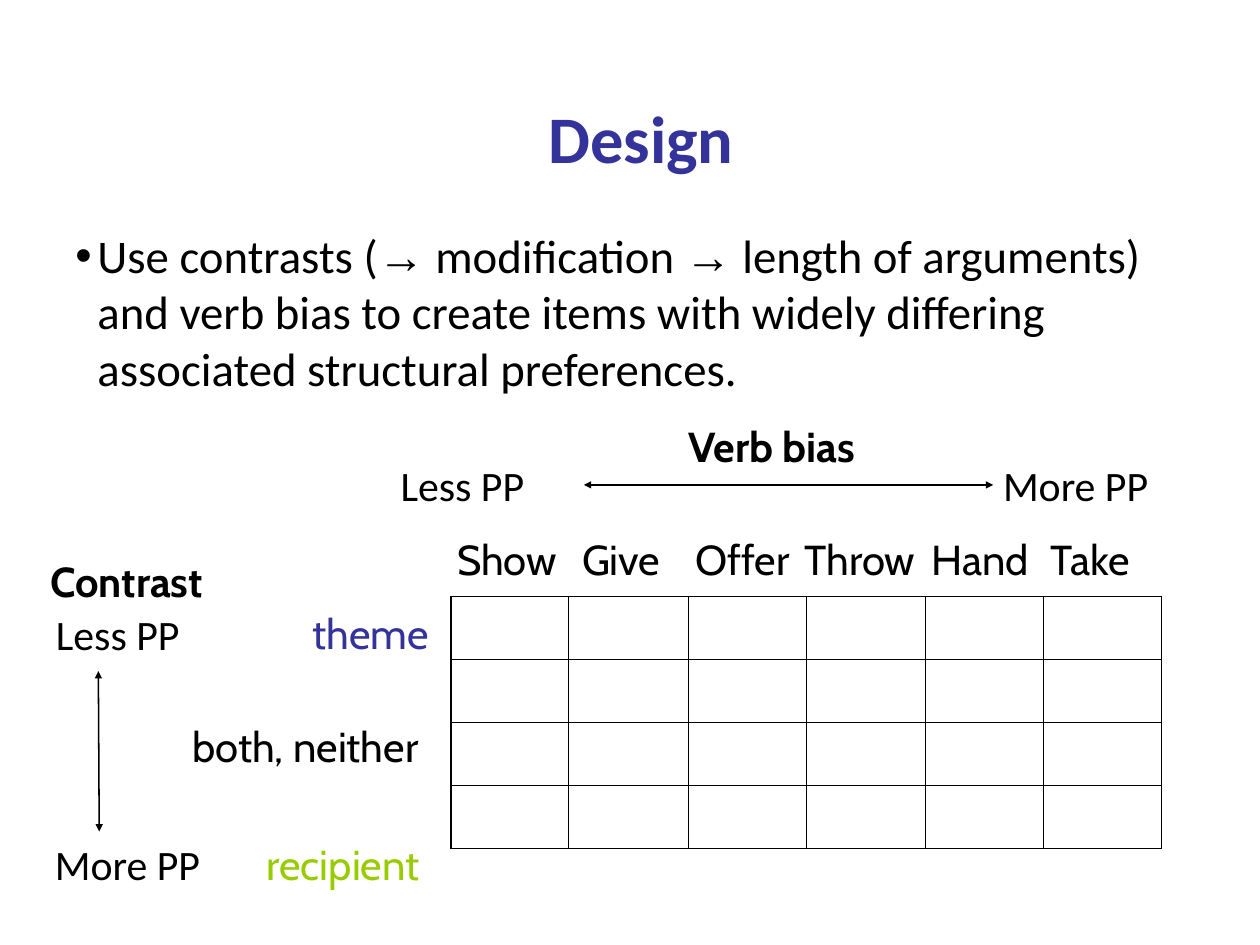
from dataclasses import dataclass

from lxml import etree
from pptx import Presentation
from pptx.dml.color import RGBColor
from pptx.enum.shapes import MSO_CONNECTOR
from pptx.enum.text import MSO_ANCHOR, MSO_AUTO_SIZE, PP_ALIGN
from pptx.oxml.ns import qn
from pptx.util import Pt

PX = 9144
STRAIGHT = MSO_CONNECTOR.STRAIGHT
TOP, MIDDLE = MSO_ANCHOR.TOP, MSO_ANCHOR.MIDDLE
GROW, FIXED = MSO_AUTO_SIZE.SHAPE_TO_FIT_TEXT, MSO_AUTO_SIZE.NONE
LEFT, CENTER = PP_ALIGN.LEFT, PP_ALIGN.CENTER


@dataclass(frozen=True)
class Theme:
    """Hold the colours, fonts, type sizes and line widths."""
    ink: str = "000000"
    blue: str = "333399"
    green: str = "99CC00"
    plain: str = "Calibri"
    round: str = "Cabin"
    sign: str = "Arial"
    title: int = 54
    body: int = 38
    label: int = 34
    arrow: float = 1.25
    edge: float = 1.08
    rule: float = 0.45


THEME = Theme()


def px(*sizes):
    """Turn px lengths into EMU."""
    return [size * PX for size in sizes]


def node(parent, tag, **attrs):
    """Add an XML child with the given attributes."""
    child = etree.SubElement(parent, qn(tag))
    for key, value in attrs.items():
        child.set(key, str(value))
    return child


def write(slide, box, text, font=THEME.plain, size=THEME.label, color=THEME.ink,
          bold=False, wrap=False, align=LEFT, anchor=TOP, hang=0):
    """Write a text, or a list of text and font pairs, into a box."""
    frame = slide.shapes.add_textbox(*px(*box)).text_frame
    frame.word_wrap = wrap
    frame.auto_size = FIXED if wrap else GROW
    frame.vertical_anchor = anchor
    frame.margin_left, frame.margin_right = px(14, 14)
    frame.margin_top, frame.margin_bottom = px(7, 7)
    para = frame.paragraphs[0]
    para.alignment = align
    if hang:
        props = para._p.get_or_add_pPr()
        props.set("marL", str(hang * PX))
        props.set("indent", str(-hang * PX))
        node(node(props, "a:buClr"), "a:srgbClr", val=color)
        node(props, "a:buFont", typeface=THEME.sign)
        node(props, "a:buChar", char="•")
    for words, face in [(text, font)] if isinstance(text, str) else text:
        run = para.add_run()
        run.text = words
        run.font.name = face
        run.font.size = Pt(size)
        run.font.bold = bold
        run.font.color.rgb = RGBColor.from_string(color)


def arrow(slide, start, end):
    """Draw a line with an arrowhead at both ends."""
    line = slide.shapes.add_connector(STRAIGHT, *px(*start, *end))
    line.line.width = Pt(THEME.arrow)
    line.line.color.rgb = RGBColor.from_string(THEME.ink)
    stroke = line.line._get_or_add_ln()
    node(stroke, "a:headEnd", type="triangle")
    node(stroke, "a:tailEnd", type="triangle")
    node(line._element.spPr, "a:effectLst")


def border(cell, widths):
    """Clear a cell and rule its left, right, top and bottom sides."""
    cell.fill.background()
    props = cell._tc.get_or_add_tcPr()
    for spot, (side, width) in enumerate(zip("LRTB", widths)):
        line = node(props, f"a:ln{side}", w=Pt(width))
        node(node(line, "a:solidFill"), "a:srgbClr", val=THEME.ink)
        props.insert(spot, line)


def head(slide, box):
    """Place the title."""
    write(slide, box, "Design", size=THEME.title, color=THEME.blue, bold=True,
          wrap=True, align=CENTER, anchor=MIDDLE)


def body(slide, box):
    """Place the bullet point."""
    sign = ("→", THEME.sign)
    parts = [
        ("Use contrasts (", THEME.plain), sign,
        (" modification ", THEME.plain), sign,
        (" length of arguments) and verb bias to create items with widely "
         "differing associated structural preferences.", THEME.plain),
    ]
    write(slide, box, parts, size=THEME.body, wrap=True, hang=25)


def verbs(slide, box):
    """Place the verb bias scale and the verbs below it."""
    x, y, _, _ = box
    row = 71
    write(slide, (x + 325, y, 247, row), "Verb bias", font=THEME.round, bold=True)
    write(slide, (x, y + 45, 168, row), "Less PP")
    write(slide, (x + 680, y + 45, 193, row), "More PP")
    arrow(slide, (x + 221, y + 80), (x + 683, y + 80))
    names = [("Show", 64, 149), ("Give", 205, 126), ("Offer", 333, 144),
             ("Throw", 456, 169), ("Hand", 599, 148), ("Take", 734, 133)]
    for name, left, width in names:
        write(slide, (x + left, y + 128, width, row), name, font=THEME.round)


def contrast(slide, box):
    """Place the contrast scale and the names of its steps."""
    x, y, _, _ = box
    row = 71
    write(slide, (x, y, 233, row), "Contrast", font=THEME.round, bold=True)
    write(slide, (x + 6, y + 60, 168, row), "Less PP")
    write(slide, (x + 5, y + 319, 193, row), "More PP")
    arrow(slide, (x + 68, y + 137), (x + 69, y + 318))
    steps = [("theme", 296, 58, 172, THEME.blue),
             ("both, neither", 160, 186, 317, THEME.ink),
             ("recipient", 244, 319, 223, THEME.green)]
    for name, left, top, width, color in steps:
        write(slide, (x + left, y + top, width, row), name, font=THEME.round,
              color=color)


def grid(slide, box):
    """Place the empty table of contrasts by verbs."""
    widths, rows = (132, 136, 133, 134, 133, 134), 4
    cols = len(widths)
    table = slide.shapes.add_table(rows, cols, *px(*box)).table
    table.first_row = table.horz_banding = False
    for col, width in zip(table.columns, widths):
        col.width = width * PX
    for r in range(rows):
        table.rows[r].height = box[3] // rows * PX
        for c in range(cols):
            outer = (c == 0, c == cols - 1, r == 0, r == rows - 1)
            border(table.cell(r, c),
                   [THEME.edge if edge else THEME.rule for edge in outer])


def main():
    """Build the slide and save it."""
    deck = Presentation()
    deck.slide_width, deck.slide_height = px(1422, 1066)
    slide = deck.slides.add_slide(deck.slide_layouts[6])
    grid(slide, (509, 673, 802, 284))
    head(slide, (119, 95, 1209, 119))
    body(slide, (71, 249, 1315, 137))
    verbs(slide, (438, 467, 873, 199))
    contrast(slide, (43, 620, 477, 390))
    deck.save("out.pptx")


if __name__ == "__main__":
    main()
